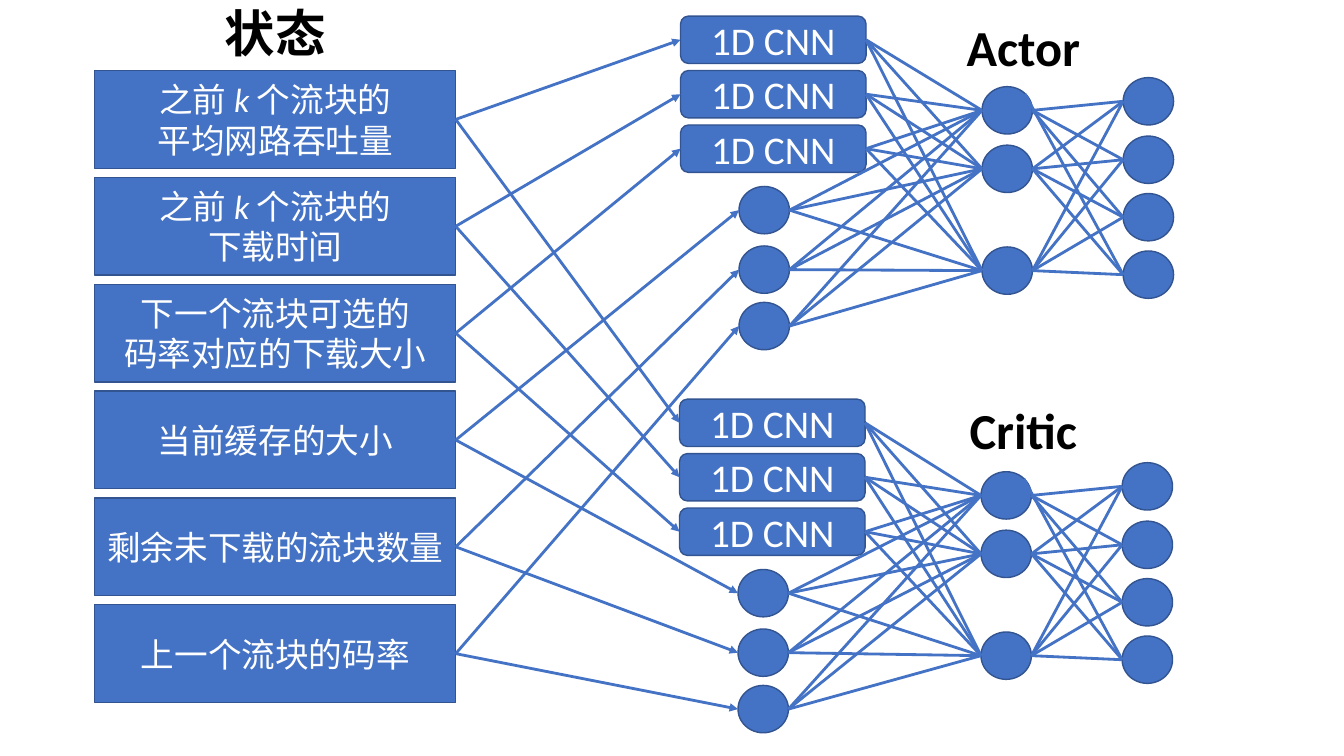
"""Draw the actor-critic network slide with its six state inputs."""
from itertools import product
from lxml.etree import SubElement
from pptx import Presentation
from pptx.dml.color import RGBColor
from pptx.enum.shapes import MSO_CONNECTOR, MSO_SHAPE
from pptx.enum.text import MSO_ANCHOR, PP_ALIGN
from pptx.oxml.ns import qn
from pptx.util import Inches, Pt

STATES = [
    [["之前 ", "k ", "个流块的"], ["平均网路吞吐量"]],
    [["之前 ", "k ", "个流块的"], ["下载时间"]],
    [["下一个流块可选的"], ["码率对应的下载大小"]],
    [["当前缓存的大小"]],
    [["剩余未下载的流块数量"]],
    [["上一个流块的码率"]],
]
CNN = [["1D CNN"]]
NETS = [
    {"name": "Actor", "left": 0, "top": 0, "deep": 0},
    {"name": "Critic", "left": -0.01, "top": 3.8, "deep": 3.82},
]
CNN_TOPS = [0.16, 0.7, 1.24]
DOT_TOPS = [1.85, 2.44, 3]
HIDDEN_TOPS = [0.86, 1.44, 2.45]
OUT_TOPS = [0.77, 1.35, 1.92, 2.49]
STATE_TOP, STATE_STEP = 0.7, 1.06
STATE_SIZE, CNN_SIZE, DOT_SIZE = (3.58, 0.97), (1.84, 0.47), (0.5, 0.47)
TITLE_SIZE = (3.58, 0.59)

THEME = {
    "font": "Calibri",
    "fill": RGBColor.from_string("4472C4"),
    "edge": RGBColor.from_string("325491"),
    "light": RGBColor.from_string("FFFFFF"),
    "dark": RGBColor.from_string("000000"),
    "title": Pt(36), "cnn": Pt(28), "state": Pt(24),
    "thin": Pt(1), "wire": Pt(2),
}

deck = Presentation()
deck.slide_width, deck.slide_height = Inches(13.33), Inches(7.5)
slide = deck.slides.add_slide(deck.slide_layouts[6])


def write(shape, lines, size, color, bold=False):
    frame = shape.text_frame
    frame.word_wrap = True
    frame.vertical_anchor = MSO_ANCHOR.MIDDLE
    for row, parts in enumerate(lines):
        para = frame.add_paragraph() if row else frame.paragraphs[0]
        para.alignment = PP_ALIGN.CENTER
        for part in parts:
            run = para.add_run()
            run.text = part
            font = run.font
            font.name, font.size, font.bold = THEME["font"], size, bold
            font.italic = part == "k "
            font.color.rgb = color


def block(kind, left, top, size):
    shape = slide.shapes.add_shape(kind, *map(Inches, (left, top, *size)))
    shape.shadow.inherit = False
    shape.fill.solid()
    shape.fill.fore_color.rgb = THEME["fill"]
    shape.line.color.rgb = THEME["edge"]
    shape.line.width = THEME["thin"]
    return shape


def label(kind, left, top, size, lines, style):
    shape = block(kind, left, top, size)
    write(shape, lines, THEME[style], THEME["light"])
    return shape


def dots(left, tops, shift):
    return [block(MSO_SHAPE.OVAL, left, top + shift, DOT_SIZE) for top in tops]


def title(text, left, top):
    box = slide.shapes.add_textbox(*map(Inches, (left, top, *TITLE_SIZE)))
    write(box, [[text]], THEME["title"], THEME["dark"], True)


def start(shape):
    return shape.left + shape.width, shape.top + shape.height // 2


def corner(dot):
    return dot.left + int(dot.width * 0.85), dot.top + int(dot.height * 0.15)


def wire(point, goal, arrow=False):
    end = goal.left, goal.top + goal.height // 2
    link = slide.shapes.add_connector(MSO_CONNECTOR.STRAIGHT, *point, *end)
    link.line.color.rgb = THEME["fill"]
    link.line.width = THEME["wire"]
    if arrow:
        SubElement(link.line._get_or_add_ln(), qn("a:tailEnd"), type="triangle")
    SubElement(link._element.spPr, qn("a:effectLst"))


title("状态", 0.94, 0.03)
states = [
    label(MSO_SHAPE.RECTANGLE, 0.94, STATE_TOP + STATE_STEP * row, STATE_SIZE, lines, "state")
    for row, lines in enumerate(STATES)
]

for net in NETS:
    left, top, deep = net["left"], net["top"], net["deep"]
    inputs = [
        label(MSO_SHAPE.ROUNDED_RECTANGLE, 6.75 + left, y + top, CNN_SIZE, CNN, "cnn")
        for y in CNN_TOPS
    ] + dots(7.33 + left, DOT_TOPS, top)
    hidden = dots(9.74 + left, HIDDEN_TOPS, deep)
    outs = dots(11.14 + left, OUT_TOPS, deep)
    for state, goal in zip(states, inputs):
        wire(start(state), goal, True)
    for source, goal in product(inputs, hidden):
        wire(start(source), goal)
    for source, goal in product(hidden, outs):
        steep = source is hidden[0] and goal is outs[-1]
        wire(corner(source) if steep else start(source), goal)
    title(net["name"], 8.36, 0.16 + top)

deck.save("out.pptx")
